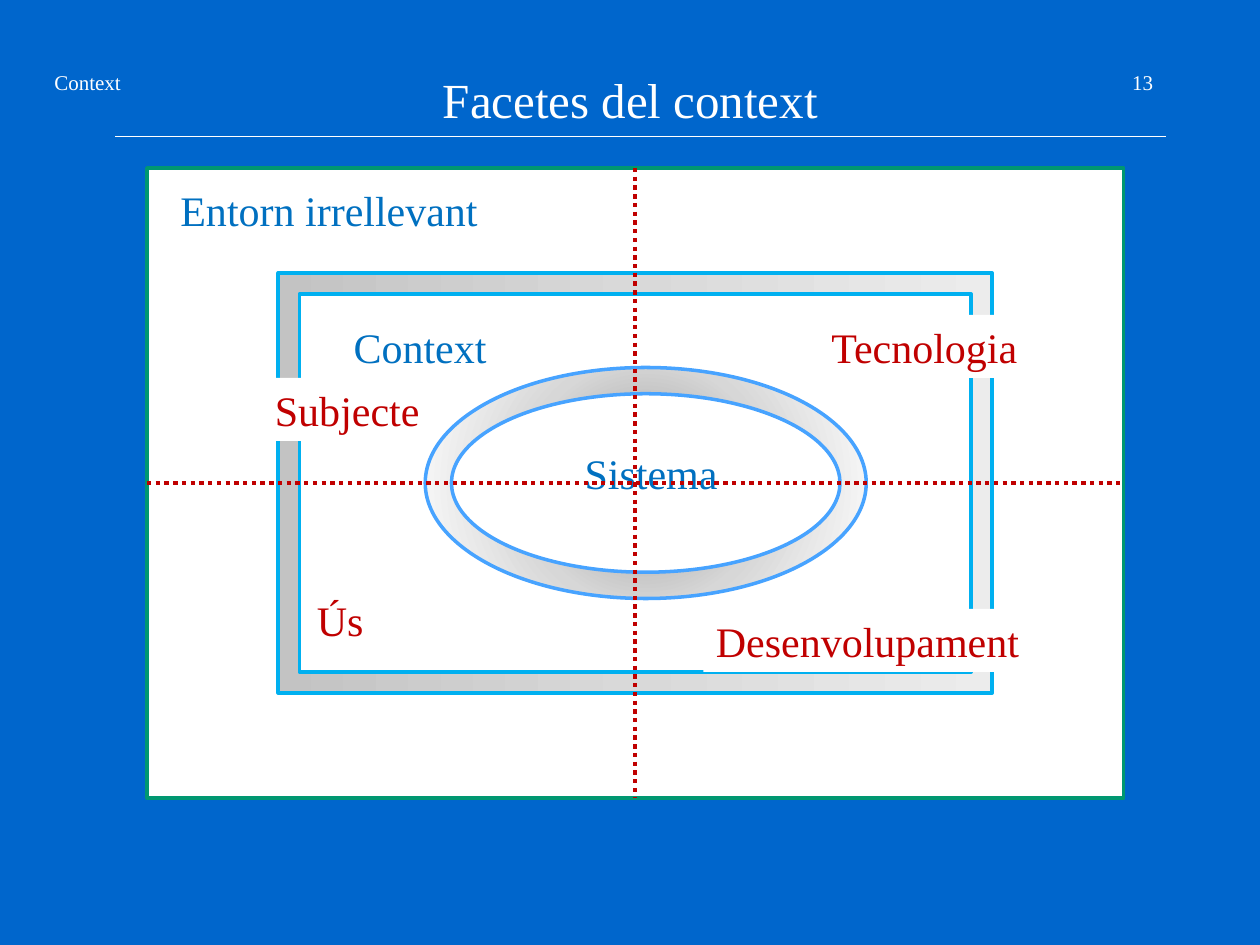
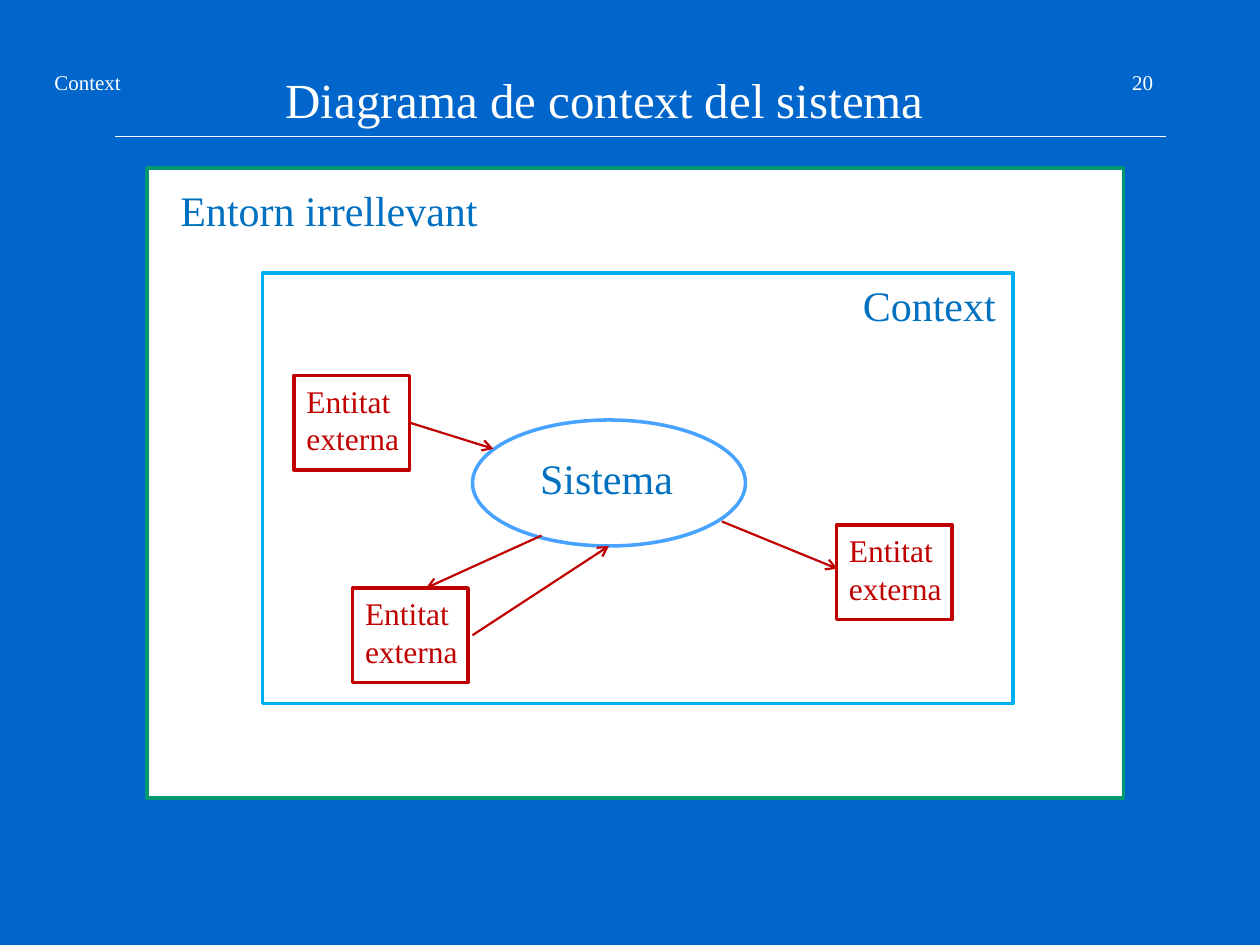
from dataclasses import dataclass

import pptx
import pptx.dml.color
import pptx.enum.dml
import pptx.enum.shapes
import pptx.enum.text
import pptx.oxml
import pptx.oxml.ns
import pptx.util
from pptx.util import Pt

FONT = "Times New Roman"
BACKDROP, WHITE, FRAME_GREEN = "0066CC", "FFFFFF", "009771"
LABEL_BLUE, CONTEXT_BLUE, SYSTEM_BLUE, RED = "0070C0", "00B0F0", "47A3FF", "C00000"
RECTANGLE = pptx.enum.shapes.MSO_SHAPE.RECTANGLE
OVAL = pptx.enum.shapes.MSO_SHAPE.OVAL
LEFT = pptx.enum.text.PP_ALIGN.LEFT
RIGHT = pptx.enum.text.PP_ALIGN.RIGHT
SYSTEM_DOT = pptx.enum.dml.MSO_LINE.ROUND_DOT

FRAME_LEFT, FRAME_TOP, FRAME_WIDTH, FRAME_HEIGHT = 84, 96, 558, 360
ENTITY_WIDTH, ENTITY_HEIGHT = 66, 54


@dataclass
class Label:
    """A text at a place, on a filled rectangle when it has a fill."""
    text: str
    left: float
    top: float
    width: float
    height: float = 36
    size: float = 24
    color: str = LABEL_BLUE
    fill: str = ""
    align: int = LEFT
    wrap: bool = False


@dataclass
class Outline:
    """A preset shape with a coloured border."""
    kind: int
    left: float
    top: float
    width: float
    height: float
    line: str
    fill: str = WHITE


@dataclass
class Stroke:
    """A straight line between two points."""
    x1: float
    y1: float
    x2: float
    y2: float
    color: str = RED
    width: float = 1.25
    dotted: bool = False
    arrow: bool = False


def rgb(value: str) -> pptx.dml.color.RGBColor:
    return pptx.dml.color.RGBColor.from_string(value)


def xml(markup: str):
    """Parse an element of the drawing namespace."""
    head, rest = markup.split(" ", 1)
    return pptx.oxml.parse_xml(f"{head} {pptx.oxml.ns.nsdecls('a')} {rest}")


def paint(shape, fill: str) -> None:
    if fill:
        shape.fill.solid()
        shape.fill.fore_color.rgb = rgb(fill)
    else:
        shape.fill.background()


def draw_outline(page, item: Outline):
    shape = page.shapes.add_shape(item.kind, Pt(item.left), Pt(item.top),
                                  Pt(item.width), Pt(item.height))
    shape.shadow.inherit = False
    paint(shape, item.fill)
    shape.line.color.rgb = rgb(item.line)
    shape.line.width = Pt(2)
    return shape


def set_gradient(shape, colors: list[str], direction: str) -> None:
    """Replace the fill by evenly spaced colours."""
    step = 100000 // (len(colors) - 1)
    stops = "".join(f'<a:gs pos="{i * step}"><a:srgbClr val="{color}"/></a:gs>'
                    for i, color in enumerate(colors))
    shape.fill.background()
    old = shape._element.spPr.find(pptx.oxml.ns.qn("a:noFill"))
    old.getparent().replace(old, xml(
        f'<a:gradFill rotWithShape="1"><a:gsLst>{stops}</a:gsLst>{direction}</a:gradFill>'))


def draw_label(page, item: Label) -> None:
    place = Pt(item.left), Pt(item.top), Pt(item.width), Pt(item.height)
    if item.fill:
        box = page.shapes.add_shape(RECTANGLE, *place)
        box.shadow.inherit = False
        box.line.fill.background()
        paint(box, item.fill)
    else:
        box = page.shapes.add_textbox(*place)
    frame = box.text_frame
    frame.word_wrap = item.wrap
    frame.vertical_anchor = pptx.enum.text.MSO_ANCHOR.TOP
    frame.text = item.text
    for para in frame.paragraphs:
        para.alignment = item.align
        para.font.name = FONT
        para.font.size = Pt(item.size)
        para.font.color.rgb = rgb(item.color)


def draw_stroke(page, item: Stroke) -> None:
    line = page.shapes.add_connector(pptx.enum.shapes.MSO_CONNECTOR.STRAIGHT,
                                     Pt(item.x1), Pt(item.y1), Pt(item.x2), Pt(item.y2))
    line.line.color.rgb = rgb(item.color)
    line.line.width = Pt(item.width)
    if item.dotted:
        line.line.dash_style = SYSTEM_DOT
    if item.arrow:
        line.line._get_or_add_ln().append(xml('<a:tailEnd type="arrow"/>'))
    line._element.spPr.append(xml("<a:effectLst />"))


def add_page(deck, title: Label, number: int):
    """Start a slide with the header, the title and the outer frame."""
    page = deck.slides.add_slide(deck.slide_layouts[6])
    paint(page.background, BACKDROP)
    draw_stroke(page, Stroke(66, 78, 666, 78, WHITE, 0.75))
    draw_label(page, Label("Context", 24, 36, 53, 21.6, 12, WHITE))
    draw_label(page, Label(str(number), 558, 36, 108, 18, 12, WHITE,
                           align=RIGHT, wrap=True))
    draw_label(page, title)
    draw_outline(page, Outline(RECTANGLE, FRAME_LEFT, FRAME_TOP, FRAME_WIDTH,
                               FRAME_HEIGHT, FRAME_GREEN))
    draw_label(page, Label("Entorn irrellevant", 96, 102, 186))
    return page


def draw_entity(page, left: float, top: float) -> None:
    draw_label(page, Label("Entitat\nexterna", left, top, 68, 51, 18, RED))
    draw_outline(page, Outline(RECTANGLE, left, top, ENTITY_WIDTH, ENTITY_HEIGHT,
                               RED, fill=""))


def build_facets(deck) -> None:
    page = add_page(deck, Label("Facetes del context", 246, 36, 230, 41, 28, WHITE), 13)

    # Context and system, each with a shaded rim
    rim = draw_outline(page, Outline(RECTANGLE, 159, 156, 408, 240, CONTEXT_BLUE))
    set_gradient(rim, ["C3C3C3", "D9D9D9", "ECECEC"], '<a:lin ang="0" scaled="1"/>')
    draw_outline(page, Outline(RECTANGLE, 171, 168, 384, 216, CONTEXT_BLUE))
    draw_label(page, Label("Context", 195, 180, 91))
    ring = draw_outline(page, Outline(OVAL, 243, 210, 252, 132, SYSTEM_BLUE))
    set_gradient(ring, ["979797", "D7D7D7", "FFFFFF"],
                 '<a:path path="circle"><a:fillToRect l="50000" t="50000" '
                 'r="50000" b="50000"/></a:path>')
    draw_outline(page, Outline(OVAL, 258, 225, 222, 102, SYSTEM_BLUE))
    draw_label(page, Label("Sistema", 327, 252, 91))

    # Dotted axes through the middle of the frame
    right, bottom = FRAME_LEFT + FRAME_WIDTH, FRAME_TOP + FRAME_HEIGHT
    middle_x, middle_y = (FRAME_LEFT + right) / 2, (FRAME_TOP + bottom) / 2
    draw_stroke(page, Stroke(middle_x, FRAME_TOP, middle_x, bottom, RED, 2.5, dotted=True))
    draw_stroke(page, Stroke(FRAME_LEFT, middle_y, right, middle_y, RED, 2.5, dotted=True))

    # One facet per quadrant
    for text, left, top, width in [("Subjecte", 150, 216, 98),
                                   ("Tecnologia", 468, 180, 121.5),
                                   ("Ús", 174, 336, 42),
                                   ("Desenvolupament", 402, 348, 189)]:
        draw_label(page, Label(text, left, top, width, color=RED, fill=WHITE))


def build_diagram(deck) -> None:
    page = add_page(deck, Label("Diagrama de context del sistema",
                                156, 36, 389.5, 41, 28, WHITE), 20)

    # Context and system
    draw_outline(page, Outline(RECTANGLE, 150, 156, 429, 246, CONTEXT_BLUE))
    draw_label(page, Label("Context", 486, 156, 91))
    draw_outline(page, Outline(OVAL, 270, 240, 156, 72, SYSTEM_BLUE))
    draw_label(page, Label("Sistema", 301.5, 255, 101, wrap=True))

    # External entities and their flows
    for left, top in [(168, 214.5), (478, 300), (201.5, 336)]:
        draw_entity(page, left, top)
    for ends in [(234, 241.5, 282, 256.5), (412.5, 298, 478.5, 325),
                 (309.5, 306, 243.5, 336), (270, 363, 348, 312)]:
        draw_stroke(page, Stroke(*ends, arrow=True))


deck = pptx.Presentation()
deck.slide_width, deck.slide_height = Pt(720), Pt(540)
build_facets(deck)
build_diagram(deck)
deck.save("out.pptx")
